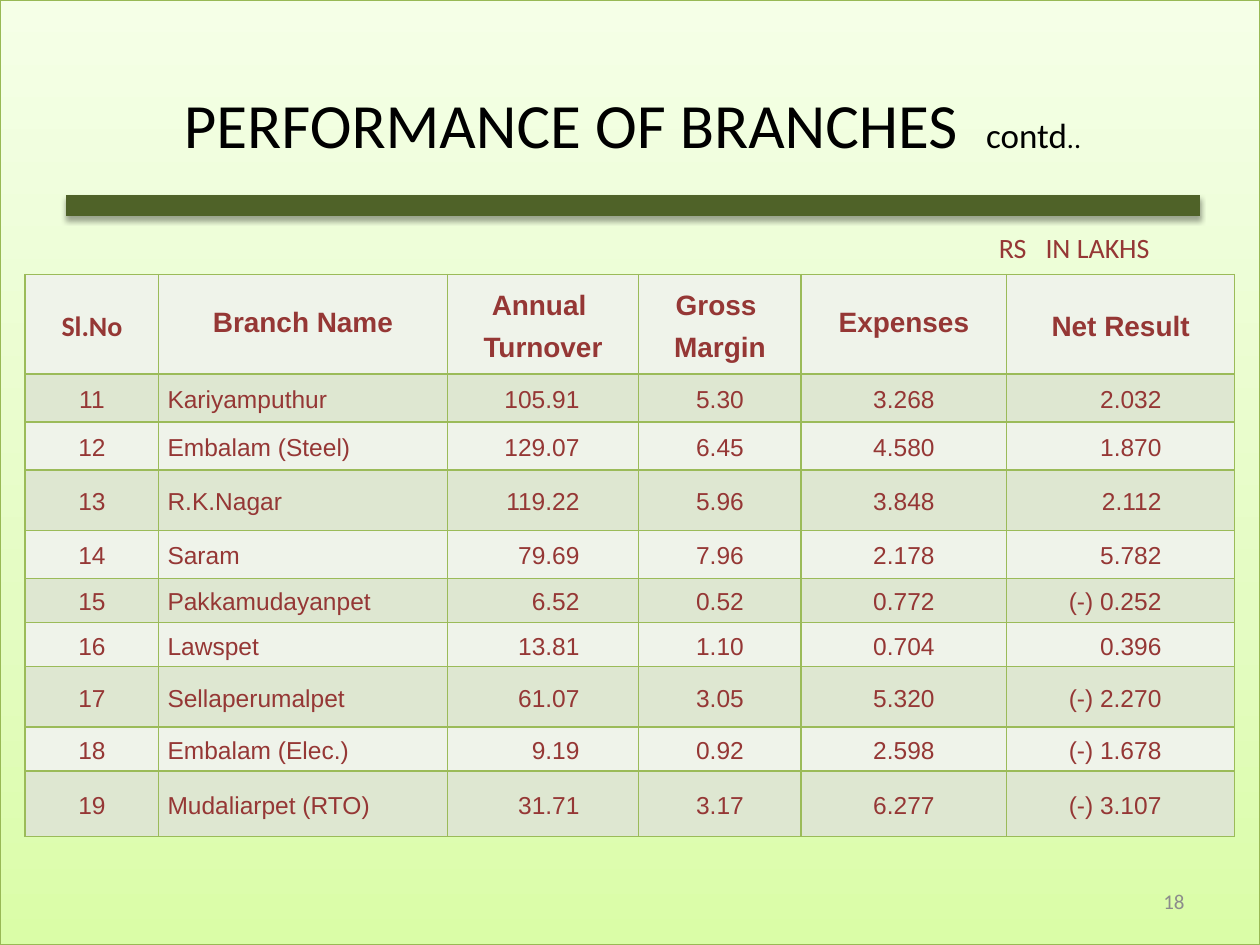
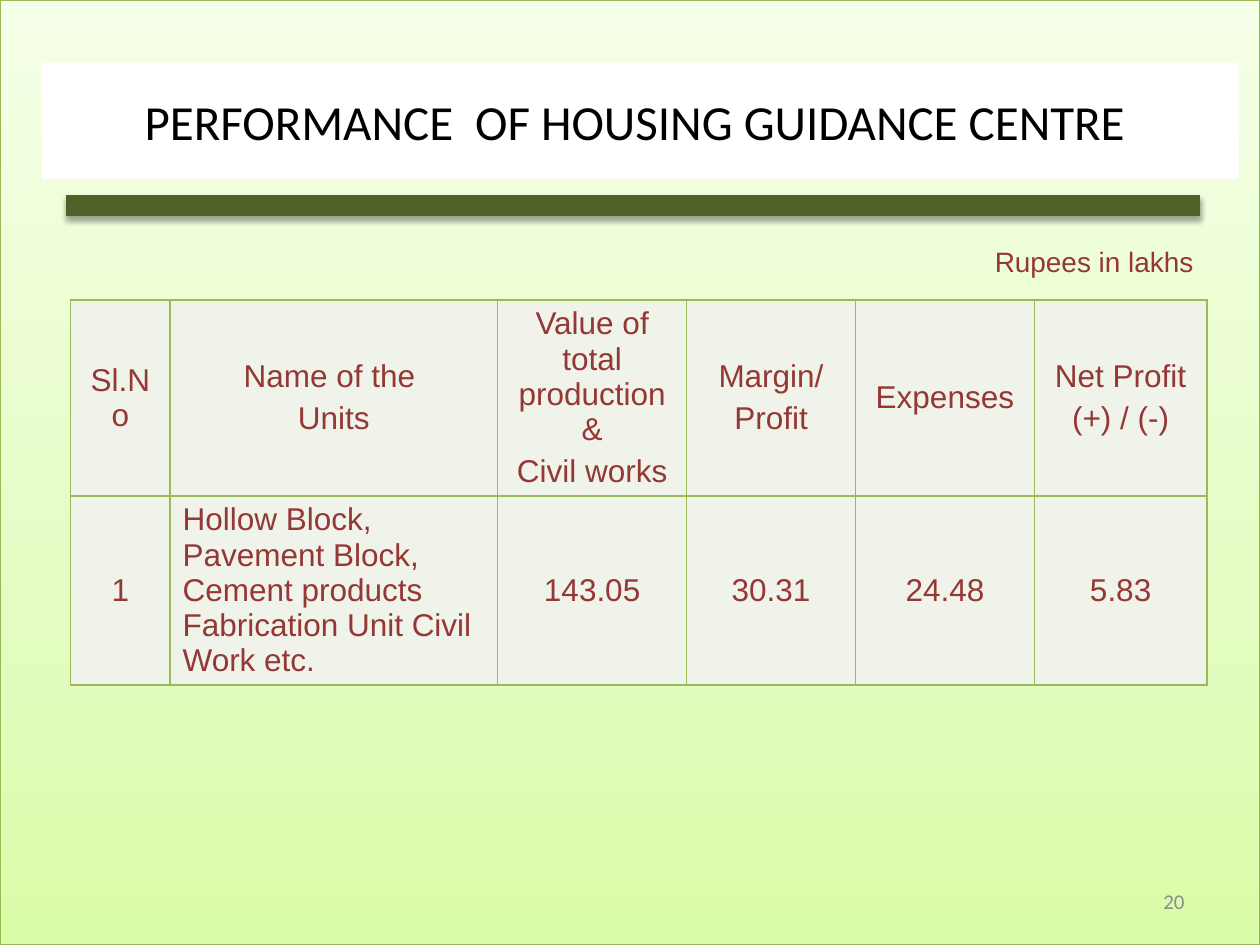
from copy import deepcopy
from dataclasses import dataclass

from lxml.etree import SubElement
from pptx import Presentation
from pptx.dml.color import RGBColor
from pptx.enum.shapes import MSO_SHAPE
from pptx.enum.text import MSO_ANCHOR as ANCHOR, PP_ALIGN as ALIGN
from pptx.oxml import parse_xml
from pptx.oxml.ns import nsdecls, qn
from pptx.util import Inches, Pt

TITLE_ONLY = 5


@dataclass(frozen=True)
class Theme:
    heading: str = "Calibri"
    body: str = "Arial"
    ink: str = "000000"
    maroon: str = "953735"
    grey: str = "8C8C8C"
    bar: str = "4F6228"
    edge: str = "98B955"
    border: str = "9BBB59"
    light: str = "EFF3EA"
    dark: str = "DEE7D1"
    white: str = "FFFFFF"
    backdrop: tuple = ((0, "DAFDA7"), (0.35, "E4FCC2"), (1, "F5FFE7"))
    title: int = 36
    long_title: int = 28
    contd: int = 20
    note: int = 16
    number: int = 12
    branch_head: int = 16
    branch_body: int = 14
    unit: int = 18


THEME = Theme()


@dataclass(frozen=True)
class CellStyle:
    """Type and spacing of a cell; first and later are points before paragraphs."""
    size: int
    font: str = THEME.body
    bold: bool = False
    align: ALIGN = ALIGN.CENTER
    anchor: ANCHOR = ANCHOR.MIDDLE
    first: float = 0
    later: float = 4
    line: object = 1.0
    side: float = 0.1
    right: float = 0.1
    ends: float = 0.05


def rgb(color):
    return RGBColor.from_string(color)


def add_run(p, text, size, font, color, bold=False, spacing=0):
    """Spacing is extra room after each character, in points."""
    r = p.add_run()
    r.text = text
    r.font.size, r.font.name, r.font.bold = Pt(size), font, bold
    r.font.color.rgb = rgb(color)
    if spacing:
        r.font._element.set("spc", str(round(spacing * 100)))


def add_backdrop(s):
    sp = s.shapes.add_shape(MSO_SHAPE.RECTANGLE, 0, 0, Inches(10), Inches(7.5))
    sp.shadow.inherit = False
    sp.line.color.rgb = rgb(THEME.edge)
    sp.line.width = Pt(0.75)
    sp.fill.gradient()
    sp.fill.gradient_angle = 90
    stops = next(sp.element.iter(qn("a:gsLst")))
    stops.append(deepcopy(stops[0]))
    for stop, (position, color) in zip(sp.fill.gradient_stops, THEME.backdrop):
        stop.position = position
        stop.color.rgb = rgb(color)


def add_title_bar(s):
    sp = s.shapes.add_shape(MSO_SHAPE.MATH_MINUS, Inches(-1.1), Inches(1.28),
                            Inches(12.25), Inches(0.71))
    sp.shadow.inherit = False
    sp.fill.solid()
    sp.fill.fore_color.rgb = rgb(THEME.bar)
    sp.line.fill.background()
    effects = next(sp.element.iter(qn("a:effectLst")))
    effects.append(parse_xml(
        f'<a:outerShdw {nsdecls("a")} blurRad="{Pt(3.1)}" dist="{Pt(1.8)}" '
        'dir="5400000" rotWithShape="0"><a:srgbClr val="000000">'
        '<a:alpha val="35000"/></a:srgbClr></a:outerShdw>'))


def set_title(s, left, top, runs, fill=None):
    sp = s.shapes.title
    sp.element.getparent().append(sp.element)
    sp.left, sp.top, sp.width, sp.height = map(Inches, (left, top, 9.5, 0.92))
    if fill:
        sp.fill.solid()
        sp.fill.fore_color.rgb = rgb(fill)
    tf = sp.text_frame
    tf.word_wrap = True
    tf.vertical_anchor = ANCHOR.MIDDLE
    p = tf.paragraphs[0]
    p.alignment = ALIGN.CENTER
    for text, size, spacing in runs:
        add_run(p, text, size, THEME.heading, THEME.ink, spacing=spacing)


def add_text(s, box, runs, size, font, color, align=ALIGN.LEFT):
    tf = s.shapes.add_textbox(*map(Inches, box)).text_frame
    tf.word_wrap = True
    tf.vertical_anchor = ANCHOR.MIDDLE
    p = tf.paragraphs[0]
    p.alignment = align
    for text, spacing in runs:
        add_run(p, text, size, font, color, spacing=spacing)


def start_slide(prs, number):
    s = prs.slides.add_slide(prs.slide_layouts[TITLE_ONLY])
    add_backdrop(s)
    add_title_bar(s)
    add_text(s, (7.17, 6.95, 2.33, 0.4), [(number, 0)], THEME.number,
             THEME.heading, THEME.grey, ALIGN.RIGHT)
    return s


def fill_cell(cell, text, style, fill):
    cell.margin_left, cell.margin_right = Inches(style.side), Inches(style.right)
    cell.margin_top = cell.margin_bottom = Inches(style.ends)
    cell.vertical_anchor = style.anchor
    tf = cell.text_frame
    for i, line in enumerate(text.split("\n")):
        p = tf.add_paragraph() if i else tf.paragraphs[0]
        p.alignment = style.align
        p.space_before = Pt(style.later if i else style.first)
        p.line_spacing = style.line
        add_run(p, line, style.size, style.font, THEME.maroon, style.bold)
    cell.fill.solid()
    cell.fill.fore_color.rgb = rgb(fill)


def draw_borders(frame):
    for props in frame.element.iter(qn("a:tcPr")):
        for i, side in enumerate(("lnL", "lnR", "lnT", "lnB")):
            line = SubElement(props, qn(f"a:{side}"), w=str(Pt(1)))
            SubElement(SubElement(line, qn("a:solidFill")),
                       qn("a:srgbClr"), val=THEME.border)
            props.insert(i, line)


def add_grid(s, left, top, widths, heights, rows, styles, fills):
    """Styles hold one list of cell styles for the header and one for the body."""
    frame = s.shapes.add_table(len(rows), len(widths), Inches(left), Inches(top),
                               Inches(sum(widths)), Inches(sum(heights)))
    table = frame.table
    table.first_row = table.horz_banding = False
    for column, width in zip(table.columns, widths):
        column.width = Inches(width)
    for i, (height, texts) in enumerate(zip(heights, rows)):
        table.rows[i].height = Inches(height)
        for j, text in enumerate(texts):
            fill_cell(table.cell(i, j), text, styles[min(i, 1)][j],
                      fills[i % len(fills)])
    draw_borders(frame)


def build_branches(prs):
    s = start_slide(prs, "18")
    set_title(s, 0.27, 0.52, [
        ("PERFORMANCE OF BRANCHES", THEME.title, 0), (" ", THEME.title, 8),
        ("contd", THEME.contd, 0), ("..", THEME.note, 0)])

    tight = dict(side=0.07, ends=0)
    head = dict(size=THEME.branch_head, bold=True, first=3.9, later=3.9,
                right=0.07, **tight)
    single = CellStyle(line=Pt(16.1), **head)
    double = CellStyle(line=1.15, **head)
    serial_head = CellStyle(line=1.15, font=THEME.heading, **head)

    def body(first=4.3, align=ALIGN.CENTER, right=0.07):
        return CellStyle(THEME.branch_body, first=first, line=1.15,
                         align=align, right=right, **tight)

    styles = (
        [serial_head, single, double, double, single, double],
        [body(first=3.9), body(align=ALIGN.LEFT),
         body(align=ALIGN.RIGHT, right=0.47), body(), body(),
         body(align=ALIGN.RIGHT, right=0.58)])
    rows = [
        ("Sl.No", "Branch Name", "Annual \nTurnover", "Gross \nMargin",
         "Expenses", "Net Result"),
        ("11", "Kariyamputhur", "105.91", "5.30", "3.268", "2.032"),
        ("12", "Embalam (Steel)", "129.07", "6.45", "4.580", "1.870"),
        ("13", "R.K.Nagar", "119.22", "5.96", "3.848", "2.112"),
        ("14", "Saram", "79.69", "7.96", "2.178", "5.782"),
        ("15", "Pakkamudayanpet", "6.52", "0.52", "0.772", "(-) 0.252"),
        ("16", "Lawspet", "13.81", "1.10", "0.704", "0.396"),
        ("17", "Sellaperumalpet", "61.07", "3.05", "5.320", "(-) 2.270"),
        ("18", "Embalam (Elec.)", "9.19", "0.92", "2.598", "(-) 1.678"),
        ("19", "Mudaliarpet (RTO)", "31.71", "3.17", "6.277", "(-) 3.107"),
    ]
    add_grid(s, 0.2, 2.18, (1.06, 2.29, 1.52, 1.29, 1.63, 1.81),
             (0.79, 0.38, 0.38, 0.48, 0.38, 0.35, 0.35, 0.48, 0.35, 0.52),
             rows, styles, (THEME.light, THEME.dark))
    add_text(s, (7.83, 1.78, 1.89, 0.37),
             [("RS", 0), (" ", 7.2), ("IN LAKHS", 0)],
             THEME.note, THEME.heading, THEME.maroon)


def build_housing(prs):
    s = start_slide(prs, "20")
    set_title(s, 0.33, 0.5, [
        ("PERFORMANCE", THEME.long_title, 0), (" ", THEME.long_title, 6.3),
        ("OF HOUSING GUIDANCE CENTRE ", THEME.long_title, 0)], THEME.white)

    centred = CellStyle(THEME.unit)
    units = CellStyle(THEME.unit, align=ALIGN.LEFT, anchor=ANCHOR.TOP)
    styles = ([centred] * 6, [centred, units] + [centred] * 4)
    rows = [
        ("Sl.No", "Name of the \nUnits",
         "Value of total production &\nCivil works", "Margin/\nProfit",
         "Expenses", "Net Profit\n(+) / (-)"),
        ("1", "Hollow Block, Pavement Block, Cement products "
              "Fabrication Unit Civil Work etc.",
         "143.05", "30.31", "24.48", "5.83"),
    ]
    add_grid(s, 0.56, 2.38, (0.79, 2.6, 1.5, 1.34, 1.42, 1.37), (1.55, 1.5),
             rows, styles, (THEME.light,))
    add_text(s, (6.89, 1.89, 2.68, 0.37), [("Rupees in lakhs", 0)],
             THEME.note, THEME.body, THEME.maroon, ALIGN.RIGHT)


def main():
    prs = Presentation()
    prs.slide_width, prs.slide_height = Inches(10), Inches(7.5)
    build_branches(prs)
    build_housing(prs)
    prs.save("out.pptx")


if __name__ == "__main__":
    main()
